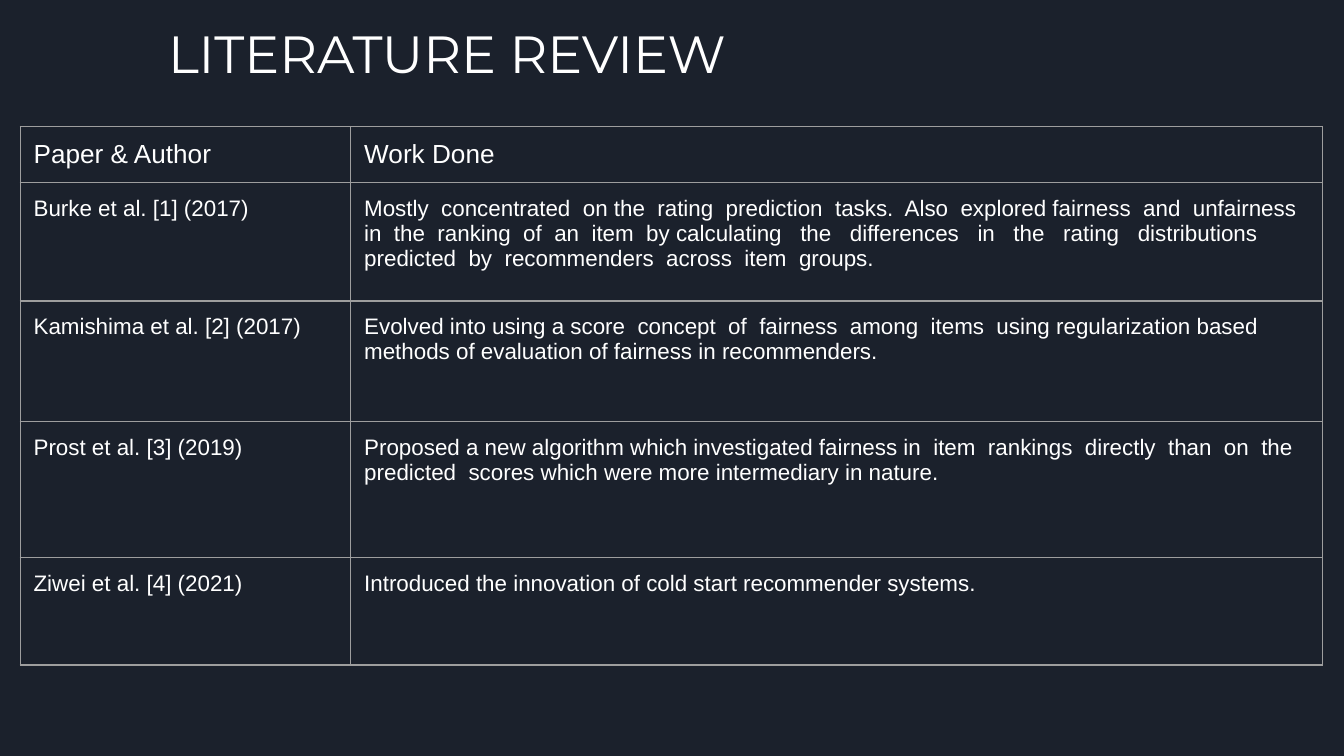
from lxml.etree import SubElement
from pptx import Presentation
from pptx.dml.color import RGBColor
from pptx.enum.text import MSO_ANCHOR, MSO_AUTO_SIZE, PP_ALIGN
from pptx.oxml.ns import qn
from pptx.util import Inches, Pt

NAVY = RGBColor(0x1B, 0x21, 0x2C)
WHITE = RGBColor(0xFF, 0xFF, 0xFF)
GRAY = RGBColor(0x9E, 0x9E, 0x9E)
WIDE = Inches(10)
HIGH = WIDE * 9 // 16
PAD = Inches(0.1)
COLS = [2.46, 7.23]
ROWS = [0.34, 0.88, 0.9, 1.01, 0.8]
PAPERS = [
    ("Paper & Author", "Work Done"),
    ("Burke et al. [1] (2017)",
     "Mostly  concentrated  on the  rating  prediction  tasks.  Also  explored fairness  and  "
     "unfairness  in  the  ranking  of  an  item  by calculating   the   differences   in   the   "
     "rating   distributions predicted  by  recommenders  across  item  groups."),
    ("Kamishima et al. [2] (2017)",
     "Evolved into using a score  concept  of  fairness  among  items  using regularization based "
     "methods of evaluation of fairness in recommenders."),
    ("Prost et al. [3] (2019)",
     "Proposed a new algorithm which investigated fairness in  item  rankings  directly  than  on  "
     "the  predicted  scores which were more intermediary in nature."),
    ("Ziwei et al. [4] (2021)",
     "Introduced the innovation of cold start recommender systems."),
]


def write(frame, text, face, size):
    frame.text = text
    line = frame.paragraphs[0]
    line.alignment = PP_ALIGN.LEFT
    font = line.runs[0].font
    font.name, font.size, font.bold = face, Pt(size), False
    font.color.rgb = WHITE


def border(cell):
    props = cell._tc.get_or_add_tcPr()
    for spot, side in enumerate(("lnL", "lnR", "lnT", "lnB")):
        line = SubElement(props, qn("a:" + side), w=str(Pt(0.75)))
        fill = SubElement(line, qn("a:solidFill"))
        SubElement(fill, qn("a:srgbClr"), val=str(GRAY))
        props.insert(spot, line)


def add_title(slide, box):
    title = slide.shapes.title
    title.left, title.top, title.width, title.height = box
    frame = title.text_frame
    write(frame, "LITERATURE REVIEW", "Montserrat", 28)
    frame.auto_size = MSO_AUTO_SIZE.NONE
    frame.word_wrap = True
    frame.vertical_anchor = MSO_ANCHOR.TOP
    frame.margin_left = frame.margin_right = PAD
    frame.margin_top = frame.margin_bottom = PAD


def add_papers(slide, box):
    wide, high = box[2:]
    table = slide.shapes.add_table(len(ROWS), len(COLS), *box).table
    table.first_row = table.horz_banding = False
    for col, part in zip(table.columns, COLS):
        col.width = round(wide * part / sum(COLS))
    for row, part in zip(table.rows, ROWS):
        row.height = round(high * part / sum(ROWS))
    for i, texts in enumerate(PAPERS):
        for j, text in enumerate(texts):
            cell = table.cell(i, j)
            cell.margin_left = cell.margin_right = PAD
            cell.margin_top = cell.margin_bottom = PAD
            cell.vertical_anchor = MSO_ANCHOR.TOP
            write(cell.text_frame, text, "Arial", 12 if i else 14)
            cell.fill.background()
            border(cell)


def main():
    deck = Presentation()
    deck.slide_width, deck.slide_height = WIDE, HIGH
    slide = deck.slides.add_slide(deck.slide_layouts[5])
    slide.background.fill.solid()
    slide.background.fill.fore_color.rgb = NAVY
    add_title(slide, (Inches(1.15), Inches(0.06), Inches(7.7), Inches(1)))
    add_papers(slide, (Inches(0.15), Inches(0.94), Inches(sum(COLS)), Inches(sum(ROWS))))
    deck.save("out.pptx")


if __name__ == "__main__":
    main()
